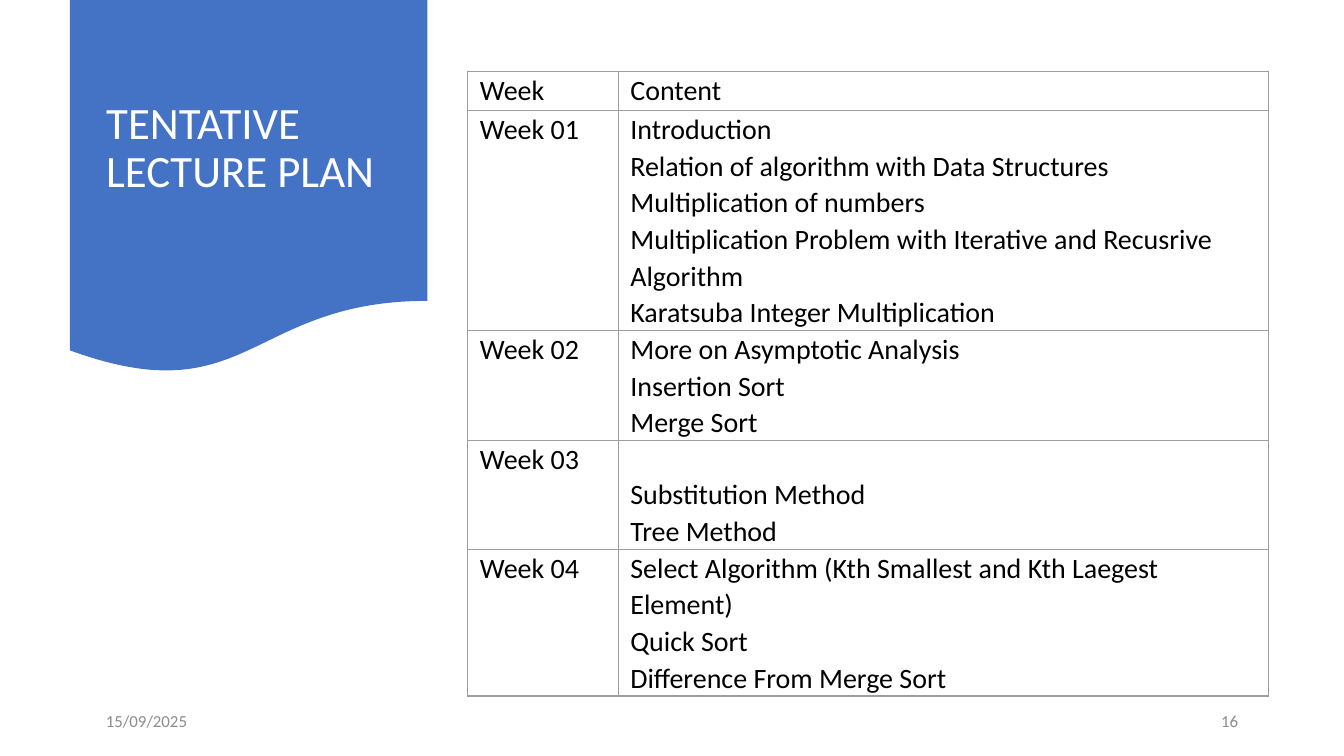
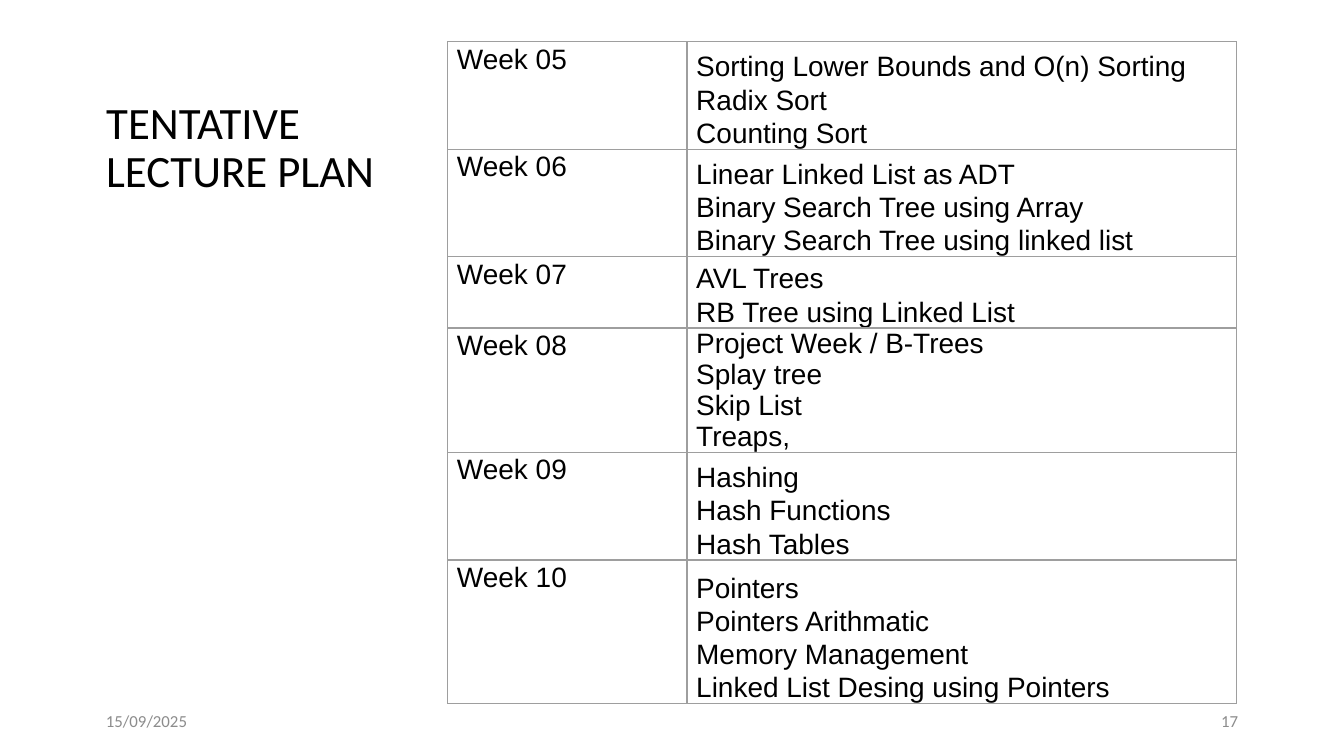
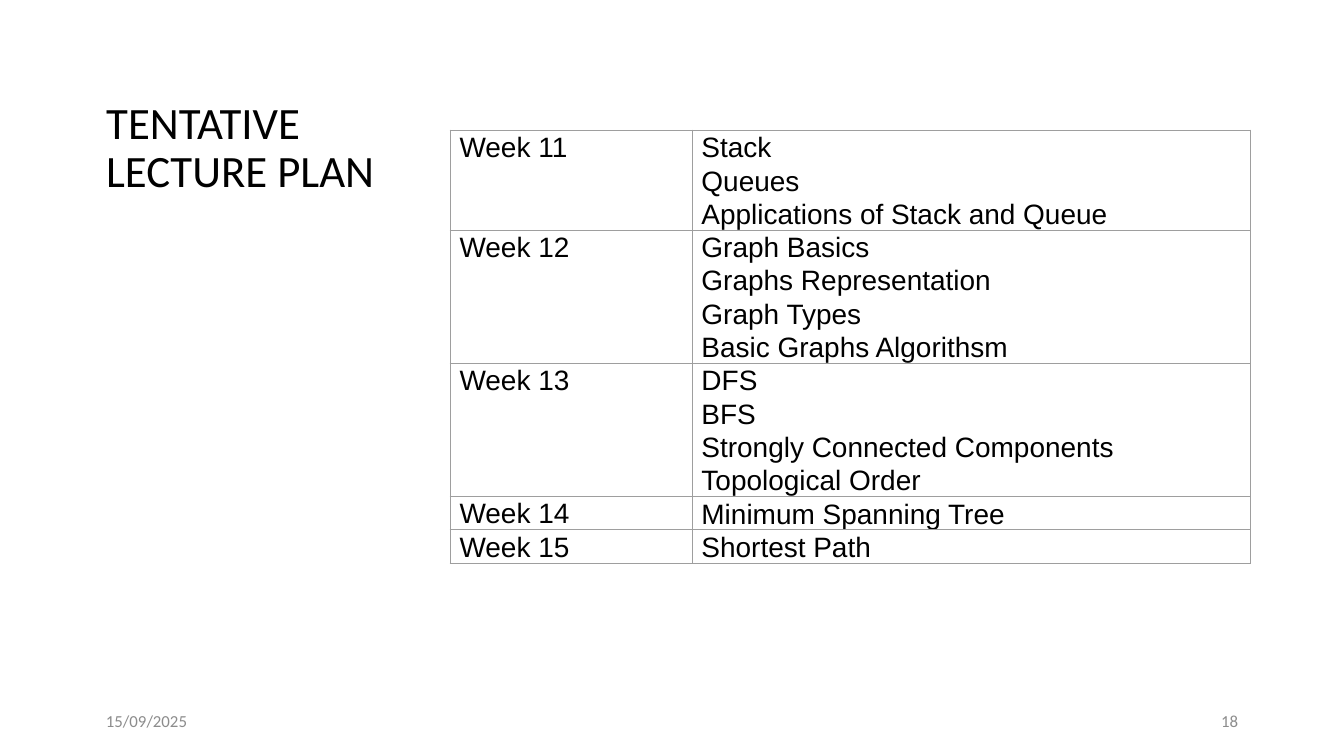
"""Build the three slides of the tentative lecture plan."""
from copy import deepcopy
from dataclasses import dataclass

from lxml.etree import SubElement
from pptx import Presentation
from pptx.dml.color import RGBColor
from pptx.enum.shapes import MSO_SHAPE
from pptx.enum.text import MSO_ANCHOR, MSO_AUTO_SIZE, PP_ALIGN
from pptx.oxml.ns import qn
from pptx.util import Pt


@dataclass(frozen=True)
class Theme:
    blue: RGBColor = RGBColor.from_string("4472C4")
    white: RGBColor = RGBColor.from_string("FFFFFF")
    black: RGBColor = RGBColor.from_string("000000")
    gray: RGBColor = RGBColor.from_string("8C8C8C")
    rule: str = "9E9E9E"
    font: str = "Calibri"
    head: float = 24
    cell: float = 15
    foot: float = 9
    lead: float = 1.07


theme = Theme()


def write(frame, *text, font=theme.font, size=theme.cell, color=theme.black,
          align=PP_ALIGN.LEFT, anchor=MSO_ANCHOR.MIDDLE, lead=1.0, after=0):
    frame.word_wrap = True
    frame.vertical_anchor = anchor
    for index, words in enumerate(text):
        para = frame.add_paragraph() if index else frame.paragraphs[0]
        para.text = words
        para.alignment = align
        para.line_spacing = lead
        para.space_before = Pt(0)
        para.space_after = Pt(after)
        for run in para.runs:
            run.font.name = font
            run.font.size = Pt(size)
            run.font.color.rgb = color
        for turn in para._p.findall(qn("a:br")):
            turn.append(deepcopy(para.runs[0]._r.rPr))


plans = [
    dict(page="16", left=250.6, top=38.2, cols=(80.6, 348.5), pad=6.5, font="Calibri", rows=[
        ("Week", 20.9, ["Content"]),
        ("Week 01", 114.5, ["Introduction\nRelation of algorithm with Data Structures\n"
                            "Multiplication of numbers\n"
                            "Multiplication Problem with Iterative and Recusrive Algorithm\n"
                            "Karatsuba Integer Multiplication"]),
        ("Week 02", 58.3, ["More on Asymptotic Analysis\nInsertion Sort\nMerge Sort"]),
        ("Week 03", 58.3, ["Substitution Method\nTree Method"]),
        ("Week 04", 77, ["Select Algorithm (Kth Smallest and Kth Laegest Element)\n"
                         "Quick Sort\nDifference From Merge Sort"]),
    ]),
    dict(page="17", left=239.8, top=22.3, cols=(128.2, 294.5), pad=5, font="Arial", rows=[
        ("Week 05", 57.6, ["Sorting Lower Bounds and O(n) Sorting\nRadix Sort\nCounting Sort"]),
        ("Week 06", 57.6, ["Linear Linked List as ADT\nBinary Search Tree using Array\n"
                           "Binary Search Tree using linked list"]),
        ("Week 07", 38.2, ["AVL Trees\nRB Tree using Linked List"]),
        ("Week 08", 25.2, ["Project Week / B-Trees\nSplay tree", "Skip List", "Treaps,"]),
        ("Week 09", 57.6, ["Hashing\nHash Functions\nHash Tables"]),
        ("Week 10", 77, ["Pointers\nPointers Arithmatic\nMemory Management\n"
                         "Linked List Desing using Pointers"]),
    ]),
    dict(page="18", left=241.2, top=69.8, cols=(129.6, 299), pad=5, font="Arial", rows=[
        ("Week 11", 38.9, ["Stack\nQueues", "Applications of Stack and Queue"]),
        ("Week 12", 56.2, ["Graph Basics\nGraphs Representation\nGraph Types\n"
                           "Basic Graphs Algorithsm"]),
        ("Week 13", 66.2, ["DFS\nBFS\nStrongly Connected Components\nTopological Order"]),
        ("Week 14", 16.6, ["Minimum Spanning Tree"]),
        ("Week 15", 16.6, ["Shortest Path"]),
    ]),
]

deck = Presentation()
deck.slide_width, deck.slide_height = Pt(720), Pt(405)

for plan in plans:
    slide = deck.slides.add_slide(deck.slide_layouts[5])
    shapes = slide.shapes
    title = shapes.title
    title.left, title.top, title.width, title.height = Pt(49.7), Pt(10), Pt(167.8), Pt(139.7)
    title.text_frame.auto_size = MSO_AUTO_SIZE.NONE
    first = plan is plans[0]
    write(title.text_frame, "TENTATIVE LECTURE PLAN", size=theme.head,
          color=theme.white if first else theme.black, lead=0.9, after=6)

    if first:
        banner = shapes.add_shape(MSO_SHAPE.FLOWCHART_DOCUMENT,
                                  Pt(37.5), Pt(0), Pt(191.5), Pt(201))
        banner.shadow.inherit = False
        banner.fill.solid()
        banner.fill.fore_color.rgb = theme.blue
        banner.line.fill.background()
        title._element.addprevious(banner._element)

    rows, cols = plan["rows"], plan["cols"]
    table = shapes.add_table(len(rows), len(cols), Pt(plan["left"]), Pt(plan["top"]),
                             Pt(sum(cols)), Pt(sum(row[1] for row in rows))).table
    table.first_row = table.horz_banding = False
    for col, width in zip(table.columns, cols):
        col.width = Pt(width)
    for row, (week, height, topics) in zip(table.rows, rows):
        row.height = Pt(height)
        label, content = row.cells
        low = MSO_ANCHOR.TOP if week == "Week" else MSO_ANCHOR.BOTTOM
        lead = 1.0 if week == "Week 08" else theme.lead
        write(label.text_frame, week, font=plan["font"], lead=theme.lead)
        write(content.text_frame, *topics, font=plan["font"], lead=lead)
        for cell, anchor in ((label, MSO_ANCHOR.TOP), (content, low)):
            cell.vertical_anchor = anchor
            cell.margin_left = cell.margin_right = Pt(plan["pad"])
            cell.margin_top = cell.margin_bottom = Pt(0)
            props = cell._tc.get_or_add_tcPr()
            for side in ("a:lnL", "a:lnR", "a:lnT", "a:lnB"):
                edge = SubElement(props, qn(side), w=str(Pt(0.75)))
                paint = SubElement(edge, qn("a:solidFill"))
                SubElement(paint, qn("a:srgbClr"), val=theme.rule)
            cell.fill.background()

    for words, left, align in (("15/09/2025", 49.7, PP_ALIGN.LEFT),
                               (plan["page"], 508.3, PP_ALIGN.RIGHT)):
        box = shapes.add_textbox(Pt(left), Pt(375.2), Pt(162), Pt(21.6))
        write(box.text_frame, words, size=theme.foot, color=theme.gray, align=align)

deck.save("out.pptx")
